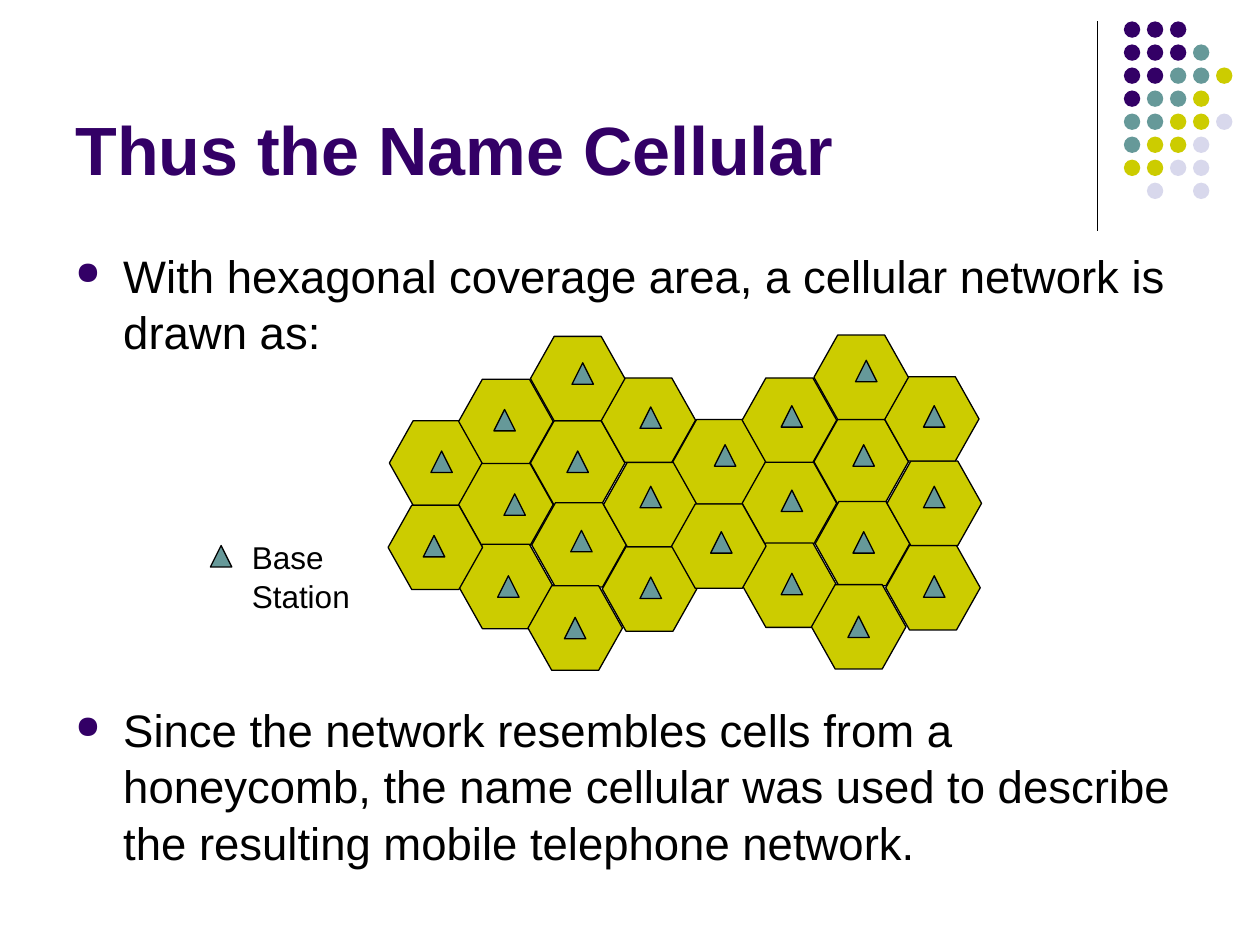
from lxml import etree
from pptx import Presentation
from pptx.dml.color import RGBColor
from pptx.enum.shapes import MSO_CONNECTOR, MSO_SHAPE
from pptx.enum.text import MSO_ANCHOR
from pptx.oxml.ns import qn
from pptx.util import Inches, Pt

PURPLE, TEAL, OLIVE, LAVENDER, BLACK = "330066", "669999", "CCCC00", "D8D8EC", "000000"


def add_text(slide, box, lines, size, color=BLACK, bold=False, anchor=MSO_ANCHOR.TOP,
             wrap=True, bullet=False, gap=0, spacing=None):
    """Write one paragraph per line; gap is the space in points between paragraphs."""
    shape = slide.shapes.add_textbox(*[Inches(length) for length in box])
    frame = shape.text_frame
    frame.word_wrap = wrap
    frame.vertical_anchor = anchor
    for index, line in enumerate(lines):
        paragraph = frame.paragraphs[0] if index == 0 else frame.add_paragraph()
        paragraph.line_spacing = spacing
        if index:
            paragraph.space_before = Pt(gap)
        if bullet:
            properties = paragraph._p.get_or_add_pPr()
            properties.set("marL", str(Inches(0.38)))
            properties.set("indent", str(Inches(-0.38)))
            bullet_color = etree.SubElement(properties, qn("a:buClr"))
            etree.SubElement(bullet_color, qn("a:srgbClr"), val=PURPLE)
            etree.SubElement(properties, qn("a:buSzPct"), val="70000")
            etree.SubElement(properties, qn("a:buChar"), char="●")
        run = paragraph.add_run()
        run.text = line
        run.font.name = "Arial"
        run.font.size = Pt(size)
        run.font.bold = bold
        run.font.color.rgb = RGBColor.from_string(color)


def add_filled(shapes, kind, left, top, width, height, fill, outlined=True):
    shape = shapes.add_shape(kind, Inches(left), Inches(top), Inches(width), Inches(height))
    shape.shadow.inherit = False
    shape.fill.solid()
    shape.fill.fore_color.rgb = RGBColor.from_string(fill)
    if outlined:
        shape.line.color.rgb = RGBColor.from_string(BLACK)
        shape.line.width = Pt(0.75)
    else:
        shape.line.fill.background()
    return shape


presentation = Presentation()
presentation.slide_width = Inches(10)
presentation.slide_height = Inches(7.5)
slide = presentation.slides.add_slide(presentation.slide_layouts[6])

# Corner decoration: a rule and a grid of dots
rule = slide.shapes.add_connector(
    MSO_CONNECTOR.STRAIGHT, Inches(8.71), Inches(0.17), Inches(8.71), Inches(1.83))
rule.line.color.rgb = RGBColor.from_string(BLACK)
rule.line.width = Pt(0.75)
etree.SubElement(rule._element.spPr, qn("a:effectLst"))

dot_colors = {"P": PURPLE, "T": TEAL, "Y": OLIVE, "L": LAVENDER}
dot_rows = ["PPP", "PPPT", "PPTTY", "PTTY", "TTYYL", "TYYL", "YYLL", " L L"]
dot_pitch = 1.28 / 7
dots = slide.shapes.add_group_shape()
for row, letters in enumerate(dot_rows):
    for column, letter in enumerate(letters):
        if letter in dot_colors:
            add_filled(dots.shapes, MSO_SHAPE.OVAL, 8.92 + column * dot_pitch,
                       0.17 + row * dot_pitch, 0.13, 0.13, dot_colors[letter], outlined=False)

# Title and bullets; the gap between the bullets holds the diagram
add_text(slide, (0.5, 0.13, 8.25, 1.42), ["Thus the Name Cellular"], 39,
         color=PURPLE, bold=True, anchor=MSO_ANCHOR.BOTTOM)
add_text(slide, (0.5, 1.9, 9, 5.27), [
    "With hexagonal coverage area, a cellular network is drawn as:",
    "Since the network resembles cells from a honeycomb, the name cellular was used "
    "to describe the resulting mobile telephone network.",
], 26, bullet=True, gap=194.5, spacing=1.04)

# Two equal clusters of cells
cluster_cells = [
    (3.09, 3.34), (3.64, 3.67), (3.64, 3.01), (4.21, 3.34), (4.22, 3.99), (3.64, 4.32),
    (3.08, 4.01), (4.19, 4.65), (4.78, 4.34), (4.79, 3.67), (4.77, 3.0), (4.21, 2.67),
]
for shift_x, shift_y in [(0, 0), (2.25, -0.01)]:
    for left, top in cluster_cells:
        cell = add_filled(slide.shapes, MSO_SHAPE.HEXAGON,
                          left + shift_x, top + shift_y, 0.75, 0.67, OLIVE)
        cell.adjustments[0] = 0.281

# Base stations; the first one is the legend key
base_stations = [
    (1.67, 4.33),
    (3.36, 4.25), (3.42, 3.58), (3.92, 3.25), (4.0, 3.92), (3.95, 4.57), (4.48, 4.9),
    (4.53, 4.21), (4.5, 3.58), (4.54, 2.88), (5.08, 3.23), (5.08, 3.86), (5.08, 4.58),
    (5.64, 4.22), (5.67, 3.53), (6.2, 3.22), (6.2, 3.89), (6.2, 4.55), (6.73, 4.89),
    (6.77, 4.22), (6.77, 3.53), (6.79, 2.86), (7.33, 3.22), (7.33, 3.86), (7.33, 4.57),
]
for left, top in base_stations:
    add_filled(slide.shapes, MSO_SHAPE.ISOSCELES_TRIANGLE, left, top, 0.17, 0.17, TEAL)
add_text(slide, (1.9, 4.21, 0.98, 0.7), ["Base", "Station"], 18, wrap=False, spacing=1.04)

presentation.save("out.pptx")
